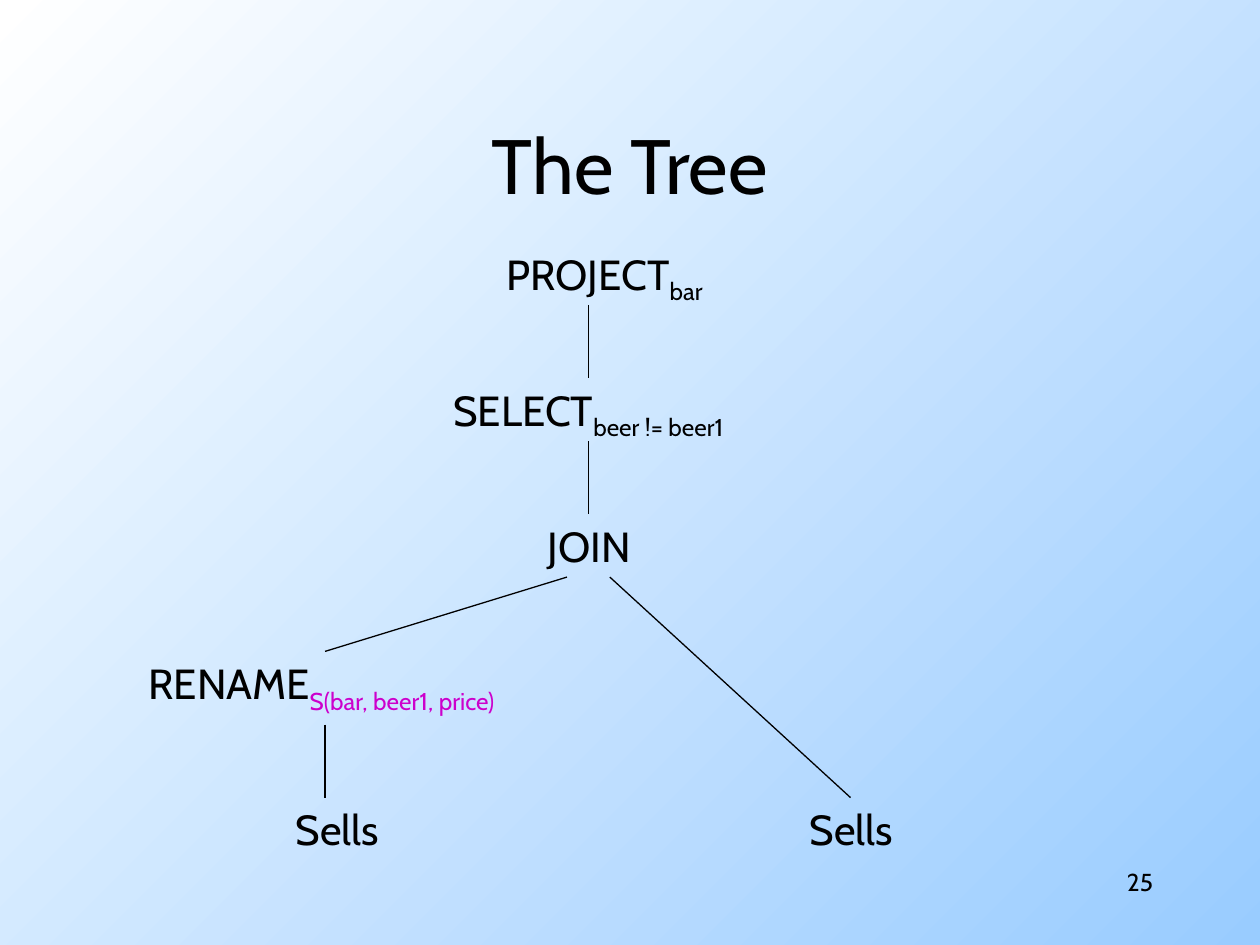
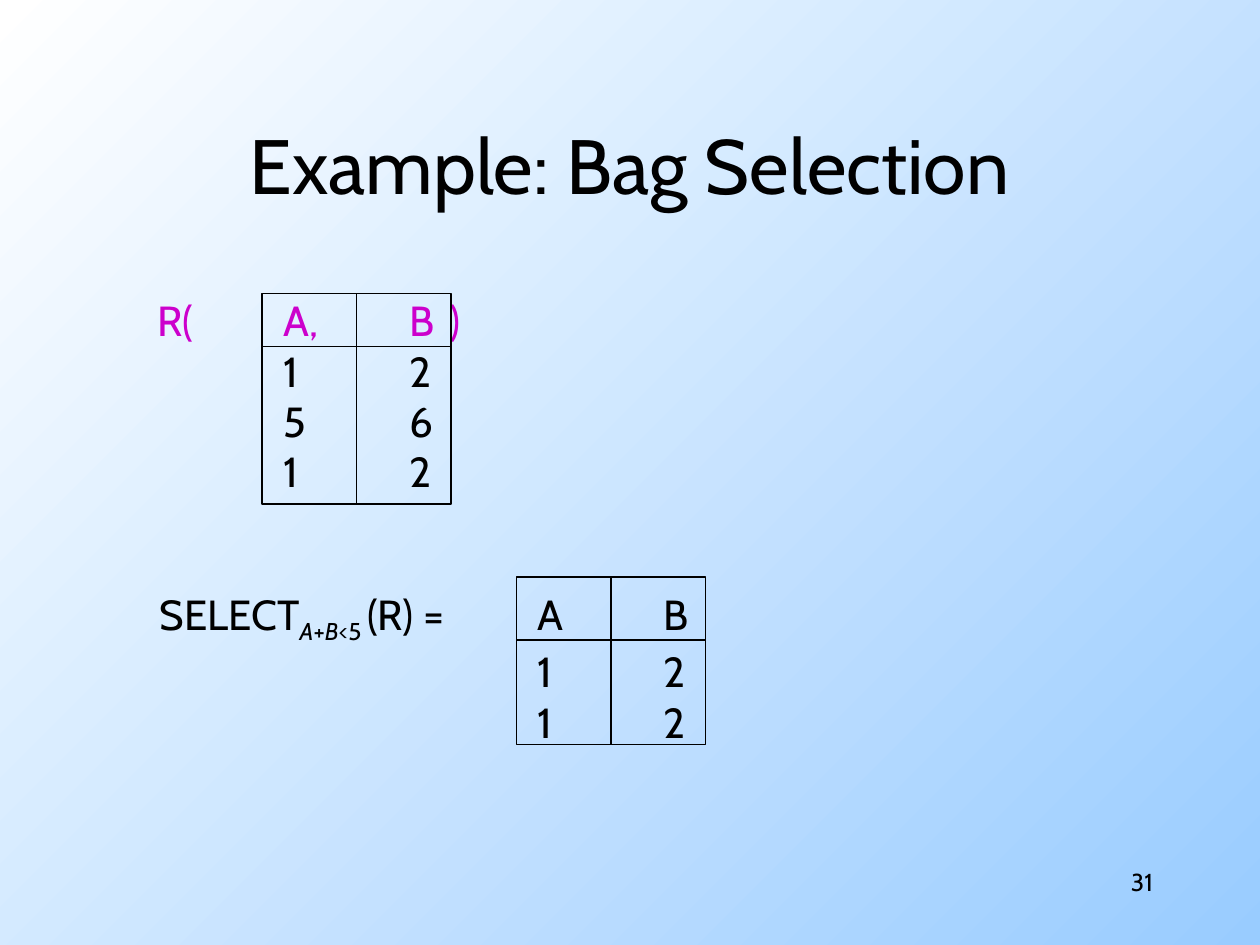
from lxml.etree import SubElement
from pptx import Presentation
from pptx.dml.color import RGBColor
from pptx.enum.shapes import MSO_CONNECTOR as Connector, MSO_SHAPE as Shape
from pptx.enum.text import MSO_ANCHOR as Anchor, MSO_AUTO_SIZE as AutoSize, PP_ALIGN as Align
from pptx.oxml.ns import qn
from pptx.util import Inches, Pt

FONT = "Cabin"
BLACK, MAGENTA, WHITE, SKY = "000000", "CC00CC", "FFFFFF", "99CCFF"
TITLE_BOX = (0.75, 0.67, 8.5, 1.25)
NUMBER_BOX = (7.17, 6.83, 2.08, 0.5)
LABEL_HEIGHT = 0.5
SUB = {"sub": True}


def colour(value):
    return RGBColor.from_string(value)


def add_span(para, text, size=24, ink=BLACK, sub=False, italic=False):
    span = para.add_run()
    span.text = text
    formats = {"name": FONT, "size": Pt(size), "italic": italic}
    for name, value in formats.items():
        setattr(span.font, name, value)
    span.font.color.rgb = colour(ink)
    if sub:
        span._r.get_or_add_rPr().set("baseline", "-25000")


def add_text(page, box, lines, align=Align.LEFT, anchor=Anchor.TOP, wrap=False, stops=()):
    """Each line is a list of (text, format) spans."""
    frame = page.shapes.add_textbox(*map(Inches, box)).text_frame
    settings = {
        "word_wrap": wrap,
        "vertical_anchor": anchor,
        "auto_size": AutoSize.NONE if wrap else AutoSize.SHAPE_TO_FIT_TEXT,
    }
    for name, value in settings.items():
        setattr(frame, name, value)
    for index, line in enumerate(lines):
        para = frame.add_paragraph() if index else frame.paragraphs[0]
        para.alignment = align
        if stops:
            tabs = SubElement(para._p.get_or_add_pPr(), qn("a:tabLst"))
            for stop in stops:
                SubElement(tabs, qn("a:tab"), pos=str(Inches(stop)), algn="l")
        for text, style in line:
            add_span(para, text, **style)


def add_line(page, *ends):
    line = page.shapes.add_connector(Connector.STRAIGHT, *map(Inches, ends))
    line.line.color.rgb = colour(BLACK)
    line.line.width = Pt(0.75)
    SubElement(line._element.spPr, qn("a:effectLst"))


def add_page(deck, title, number):
    """Blank page with the shared background, title and page number."""
    page = deck.slides.add_slide(deck.slide_layouts[6])
    fill = page.background.fill
    fill.gradient()
    fill.gradient_angle = 315
    for stop, shade in zip(fill.gradient_stops, (WHITE, SKY)):
        stop.color.rgb = colour(shade)
    add_text(page, NUMBER_BOX, [[(str(number), {"size": 14})]], Align.RIGHT, wrap=True)
    add_text(page, TITLE_BOX, [[(title, {"size": 44})]], Align.CENTER, Anchor.MIDDLE, wrap=True)
    return page


def add_tree(page, left, top, nodes, branches):
    # Operators and relations
    for x, y, width, spans in nodes:
        add_text(page, (left + x, top + y, width, LABEL_HEIGHT), [spans])
    # Branches from parent to child
    for x1, y1, x2, y2 in branches:
        add_line(page, left + x1, top + y1, left + x2, top + y2)


def add_relation(page, box, head, text_box, lines, stops):
    """Ruled two-column grid, with its rows set on tab stops."""
    left, top, width, height = box
    add_text(page, text_box, lines, stops=stops)
    # Frame
    frame = page.shapes.add_shape(Shape.RECTANGLE, *map(Inches, box))
    frame.shadow.inherit = False
    frame.fill.background()
    frame.line.color.rgb = colour(BLACK)
    frame.line.width = Pt(0.75)
    # Header rule and column rule
    add_line(page, left, top + head, left + width, top + head)
    add_line(page, left + width / 2, top, left + width / 2, top + height)


def tab_row(*values):
    return [("".join(f"\t{value}" for value in values), {})]


def build_tree_page(deck):
    page = add_page(deck, "The Tree", 25)
    step, rename_top, sells_top = 1.08, 3.25, 4.41
    trunk, rename_stem = 3.59, 1.5
    sells = [("Sells", {})]
    nodes = [
        (2.84, 0, 1.87, [("PROJECT", {}), ("bar", SUB)]),
        (2.42, step, 2.69, [("SELECT", {}), ("beer != beer1", SUB)]),
        (3.17, 2 * step, 0.92, [("JOIN", {})]),
        (0, rename_top, 3.38,
         [("RENAME", {}), ("S(bar, beer1, price)", {"sub": True, "ink": MAGENTA})]),
        (1.17, sells_top, 0.86, sells),
        (5.25, sells_top, 0.86, sells),
    ]
    join_foot = 2 * step + LABEL_HEIGHT
    branches = [
        (trunk, level * step + LABEL_HEIGHT, trunk, (level + 1) * step) for level in range(2)
    ] + [
        (trunk - 0.17, join_foot, rename_stem, rename_top),
        (trunk + 0.17, join_foot, 5.67, sells_top),
        (rename_stem, sells_top - 0.58, rename_stem, sells_top),
    ]
    add_tree(page, 1.08, 1.92, nodes, branches)


def build_selection_page(deck):
    page = add_page(deck, "Example: Bag Selection", 31)
    # Relation R
    source_lines = [[("R(\tA,\tB\t)", {"ink": MAGENTA})]]
    source_lines += [tab_row(*pair) for pair in ((1, 2), (5, 6), (1, 2))]
    add_relation(page, (2.08, 2.33, 1.5, 1.67), 0.42,
                 (1.15, 2.29, 2.73, 1.7), source_lines, (1, 2, 2.32))
    # Result of the selection
    query = [("SELECT", {}), ("A", {"sub": True, "italic": True}), ("+", SUB),
             ("B", {"sub": True, "italic": True}), ("<5 ", SUB), ("(R) =\tA\tB", {})]
    add_relation(page, (4.1, 4.58, 1.5, 1.33), 0.5,
                 (1.17, 4.62, 4.4, 1.3), [query] + [tab_row(1, 2)] * 2, (3, 4))


def main():
    deck = Presentation()
    deck.slide_width, deck.slide_height = Inches(10), Inches(7.5)
    build_tree_page(deck)
    build_selection_page(deck)
    deck.save("out.pptx")


if __name__ == "__main__":
    main()
